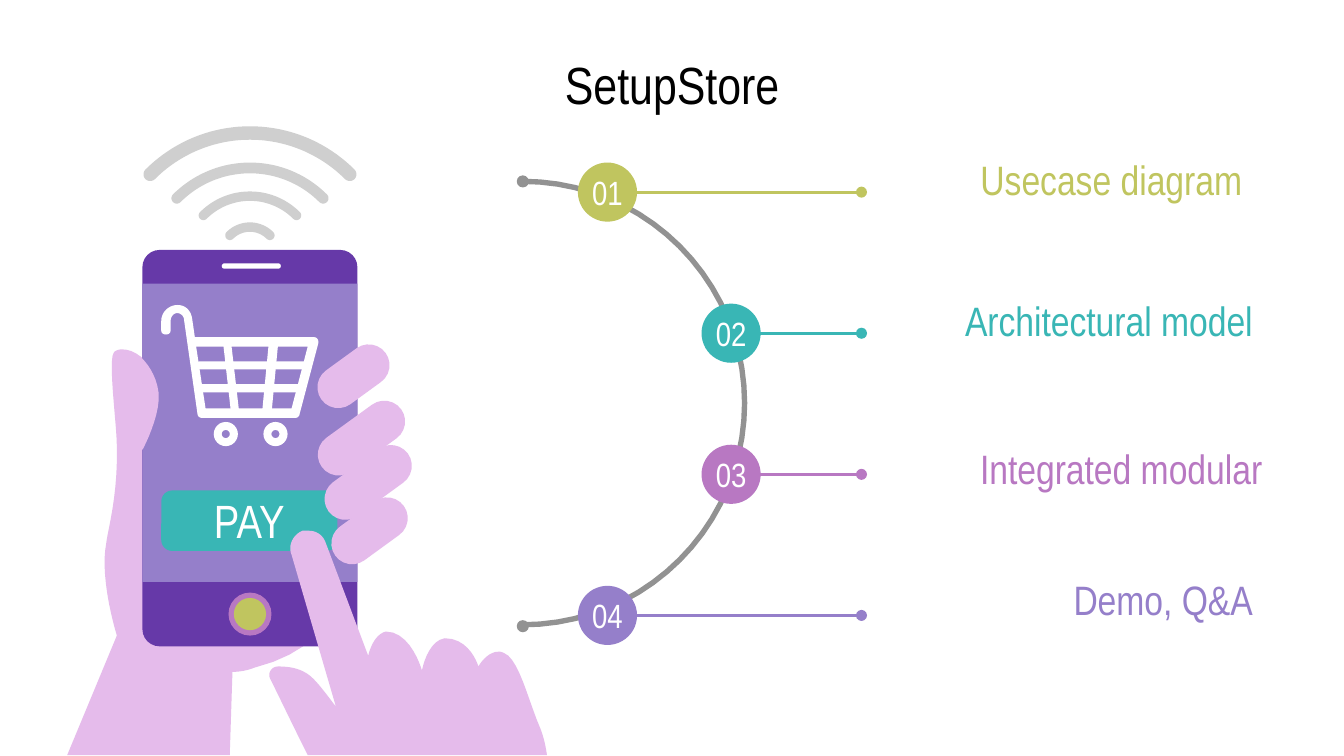
from math import cos, radians, sin

from lxml import etree
from pptx import Presentation
from pptx.dml.color import RGBColor
from pptx.enum.shapes import MSO_CONNECTOR, MSO_SHAPE
from pptx.enum.text import MSO_ANCHOR, MSO_AUTO_SIZE, PP_ALIGN
from pptx.oxml.ns import qn
from pptx.util import Cm, Pt

OVAL, DONUT = MSO_SHAPE.OVAL, MSO_SHAPE.DONUT
RECTANGLE, ROUNDED = MSO_SHAPE.RECTANGLE, MSO_SHAPE.ROUNDED_RECTANGLE
CENTER, RIGHT = PP_ALIGN.CENTER, PP_ALIGN.RIGHT
FONT = "Arial Narrow"
CM_PER_UNIT = 2.54

BLACK = RGBColor(0x00, 0x00, 0x00)
WHITE = RGBColor(0xFF, 0xFF, 0xFF)
OLIVE = RGBColor(0xC0, 0xC5, 0x5F)
TEAL = RGBColor(0x39, 0xB6, 0xB5)
ORCHID = RGBColor(0xB8, 0x78, 0xC2)
LAVENDER = RGBColor(0x95, 0x7F, 0xCA)
PURPLE = RGBColor(0x66, 0x39, 0xA8)
SKIN = RGBColor(0xE5, 0xBB, 0xEB)
GRAY = RGBColor(0x92, 0x92, 0x92)
LIGHT_GRAY = RGBColor(0xCF, 0xCF, 0xCF)

# label, colour, circle centre x, connector start x, label box
STEPS = [
    ("Usecase diagram", OLIVE, 4.52, 4.67, (6.76, 1.1, 2.58, 0.47)),
    ("Architectural model", TEAL, 5.44, 5.48, (6.84, 2.15, 2.58, 0.47)),
    ("Integrated modular", ORCHID, 5.44, 5.46, (6.18, 3.25, 3.31, 0.47)),
    ("Demo, Q&A", LAVENDER, 4.52, 4.67, (6.84, 4.22, 2.58, 0.47)),
]

# Outlines: a pair is a corner, six numbers are a Bezier curve.
HOLDING_HAND = [
    (0.91, 2.6), (0.88, 2.6, 0.86, 2.61, 0.85, 2.62),
    (0.8, 2.66, 0.87, 3.16, 0.87, 3.32), (0.88, 3.69, 0.8, 3.95, 0.79, 4.05),
    (0.76, 4.2, 0.79, 4.46, 0.87, 4.73), (0.5, 5.62), (1.71, 5.62), (1.73, 5),
    (1.78, 5, 1.84, 4.99, 1.89, 4.97), (2.41, 4.84, 2.5, 4.51, 2.5, 4.51),
    (2.5, 4.51, 1.38, 3.59, 1.26, 3.08), (1.17, 2.69, 1.01, 2.6, 0.91, 2.6)]
THUMB = [
    (1.04, 2.65), (1.01, 2.93), (1.06, 3.35),
    (1.06, 3.35, 1.2, 3.09, 1.18, 2.92), (1.16, 2.75, 1.04, 2.65, 1.04, 2.65)]
POINTING_HAND = [
    (2.3, 3.95), (2.28, 3.95, 2.27, 3.95, 2.25, 3.95),
    (2.18, 3.98, 2.14, 4.06, 2.17, 4.13), (2.5, 5.26),
    (2.44, 5.18, 2.38, 5.1, 2.33, 5.05), (2.26, 4.98, 2.17, 4.96, 2.07, 4.96),
    (2.02, 4.96, 1.99, 5.01, 2.01, 5.05), (2.07, 5.17, 2.18, 5.4, 2.29, 5.62),
    (4.07, 5.62), (4.06, 5.54, 4.04, 5.47, 4.02, 5.42),
    (3.93, 5.21, 3.86, 4.9, 3.75, 4.86), (3.73, 4.85, 3.72, 4.85, 3.71, 4.85),
    (3.62, 4.85, 3.56, 4.96, 3.56, 4.96), (3.56, 4.96, 3.5, 4.75, 3.31, 4.75),
    (3.18, 4.77, 3.14, 4.99, 3.14, 4.99), (3.14, 4.99, 3.06, 4.7, 2.87, 4.7),
    (2.8, 4.72, 2.76, 4.8, 2.74, 4.88), (2.42, 4.03),
    (2.4, 3.98, 2.35, 3.95, 2.3, 3.95)]
BASKET_OPENING = [(2.29, 2.58), (2.17, 3.04), (1.53, 3.04), (1.46, 2.58)]
CART = [
    (1.32, 2.27), (1.26, 2.27, 1.2, 2.32, 1.2, 2.39), (1.2, 2.46),
    (1.2, 2.5, 1.27, 2.5, 1.27, 2.46), (1.27, 2.39),
    (1.27, 2.36, 1.29, 2.33, 1.32, 2.33), (1.34, 2.33, 1.37, 2.35, 1.37, 2.38),
    (1.47, 3.08), (1.47, 3.1, 1.49, 3.11, 1.5, 3.11), (2.2, 3.11),
    (2.21, 3.11, 2.23, 3.1, 2.23, 3.08), (2.37, 2.55),
    (2.37, 2.53, 2.36, 2.51, 2.34, 2.51), (1.45, 2.51), (1.43, 2.37),
    (1.42, 2.31, 1.38, 2.27, 1.32, 2.27)]
BASKET_BARS = [
    [(1.66, 2.55), (1.66, 2.51, 1.72, 2.51, 1.72, 2.55), (1.78, 3.07),
     (1.78, 3.12, 1.72, 3.12, 1.72, 3.08)],
    [(2, 2.55), (2.01, 2.51, 2.07, 2.51, 2.07, 2.55), (2.02, 3.08),
     (2.01, 3.12, 1.95, 3.12, 1.95, 3.07)]]


def length(units):
    return Cm(units * CM_PER_UNIT)


def write_text(shape, text, size=22, color=BLACK, align=CENTER):
    frame = shape.text_frame
    frame.word_wrap = True
    frame.auto_size = MSO_AUTO_SIZE.NONE
    frame.vertical_anchor = MSO_ANCHOR.MIDDLE
    frame.margin_left = frame.margin_right = length(0.1)
    frame.margin_top = frame.margin_bottom = length(0.1)
    paragraph = frame.paragraphs[0]
    paragraph.alignment = align
    run = paragraph.add_run()
    run.text = text
    run.font.name, run.font.size = FONT, Pt(size)
    run.font.color.rgb = color


def add_label(slide, box, text, **text_format):
    write_text(slide.shapes.add_textbox(*map(length, box)), text, **text_format)


def paint(shape, color):
    shape.shadow.inherit = False
    shape.fill.solid()
    shape.fill.fore_color.rgb = color
    shape.line.fill.background()
    return shape


def add_figure(slide, kind, box, color, adjustment=None):
    shape = paint(slide.shapes.add_shape(kind, *map(length, box)), color)
    if adjustment is not None:
        shape.adjustments[0] = adjustment
    return shape


def add_disc(slide, x, y, diameter, color, kind=OVAL, adjustment=None):
    box = (x - diameter / 2, y - diameter / 2, diameter, diameter)
    return add_figure(slide, kind, box, color, adjustment)


def flatten(outline, steps=10):
    """Turn corners and Bezier curves into plain points."""
    points = [outline[0]]
    for part in outline[1:]:
        if len(part) == 2:
            points.append(part)
            continue
        controls = [points[-1], part[:2], part[2:4], part[4:]]
        for step in range(1, steps + 1):
            t = step / steps
            weights = ((1 - t) ** 3, 3 * t * (1 - t) ** 2, 3 * t * t * (1 - t), t ** 3)
            points.append(tuple(sum(w * c[axis] for w, c in zip(weights, controls))
                                for axis in (0, 1)))
    return points


def add_outline(slide, color, *outlines):
    contours = [[(length(x), length(y)) for x, y in flatten(outline)]
                for outline in outlines]
    builder = slide.shapes.build_freeform(*contours[0][0])
    for index, contour in enumerate(contours):
        if index:
            builder.move_to(*contour[0])
        builder.add_line_segments(contour[1:], close=True)
    return paint(builder.convert_to_shape(), color)


def arc_points(x, y, radius, start, end, steps=40):
    angles = [radians(start + (end - start) * i / steps) for i in range(steps + 1)]
    return [(x + radius * cos(a), y + radius * sin(a)) for a in angles]


def add_arc_band(slide, x, y, radius, thickness, start, end, color):
    """Draw an arc of even thickness with round ends."""
    half = thickness / 2
    first, *_, last = arc_points(x, y, radius, start, end)
    add_outline(slide, color,
                arc_points(x, y, radius + half, start, end)
                + arc_points(*last, half, end, end + 180, 10)
                + arc_points(x, y, radius - half, end, start)
                + arc_points(*first, half, start + 180, start + 360, 10))


def add_dotted_end_line(slide, start_x, end_x, y, color):
    connector = slide.shapes.add_connector(
        MSO_CONNECTOR.STRAIGHT, *map(length, (start_x, y, end_x, y)))
    connector.line.color.rgb = color
    connector.line.width = Pt(1.5)
    etree.SubElement(connector.line._get_or_add_ln(), qn("a:tailEnd"), type="oval")
    etree.SubElement(connector._element.spPr, qn("a:effectLst"))


def add_timeline(slide):
    add_arc_band(slide, 3.89, 3, 1.65, 0.04, -90, 90, GRAY)
    for y in (1.35, 4.66):
        add_disc(slide, 3.89, y, 0.09, GRAY)
    for index, (label, color, x, line_start, box) in enumerate(STEPS):
        y = 1.43 + 1.05 * index
        add_dotted_end_line(slide, line_start, 6.41, y, color)
        circle = add_disc(slide, x, y, 0.44, color)
        write_text(circle, f"{index + 1:02}", size=18, color=WHITE)
        circle.text_frame.word_wrap = False
        add_label(slide, box, label, color=color, align=RIGHT)


def add_cart(slide):
    add_outline(slide, WHITE, CART, BASKET_OPENING)
    for bar in BASKET_BARS:
        add_outline(slide, WHITE, bar)
    for box in ((1.45, 2.69, 0.84, 0.06), (1.47, 2.86, 0.8, 0.06)):
        add_figure(slide, ROUNDED, box, WHITE, 0.5)
    for x in (1.68, 2.05):
        add_disc(slide, x, 3.23, 0.18, WHITE, DONUT, 0.33)


def add_phone(slide):
    add_figure(slide, ROUNDED, (1.06, 1.86, 1.6, 2.95), PURPLE, 0.08)
    add_figure(slide, RECTANGLE, (1.06, 2.11, 1.6, 2.22), LAVENDER)
    add_cart(slide)
    add_figure(slide, ROUNDED, (1.2, 3.65, 1.31, 0.45), TEAL, 0.18)
    add_figure(slide, ROUNDED, (1.65, 1.96, 0.44, 0.04), WHITE, 0.5)
    add_disc(slide, 1.86, 4.57, 0.32, ORCHID)
    add_disc(slide, 1.86, 4.57, 0.24, OLIVE)


def add_fingers(slide):
    thickness = 0.31
    for x, y, size in ((2.69, 3.26, 0.73), (2.74, 3.59, 0.73),
                       (2.75, 3.95, 0.63), (2.63, 2.8, 0.59)):
        box = (x - size / 2, y - thickness / 2, size, thickness)
        add_figure(slide, ROUNDED, box, SKIN, 0.5).rotation = -36
    add_outline(slide, SKIN, THUMB)


def add_signal(slide):
    for top, radius, thickness in ((1.69, 0.21, 0.07), (1.25, 0.77, 0.08),
                                   (1.46, 0.49, 0.07), (0.99, 1.05, 0.1)):
        add_arc_band(slide, 1.86, top + radius, radius, thickness, -135, -45, LIGHT_GRAY)


def main():
    presentation = Presentation()
    presentation.slide_width, presentation.slide_height = Cm(25.4), Cm(14.29)
    slide = presentation.slides.add_slide(presentation.slide_layouts[5])
    title = slide.shapes.title
    title.left, title.top, title.width, title.height = map(length, (2.75, 0.45, 4.5, 0.35))
    write_text(title, "SetupStore", size=28)
    add_timeline(slide)
    add_outline(slide, SKIN, HOLDING_HAND)
    add_phone(slide)
    add_fingers(slide)
    add_signal(slide)
    add_outline(slide, SKIN, POINTING_HAND)
    add_label(slide, (1.21, 3.67, 1.29, 0.39), "PAY", size=25, color=WHITE)
    presentation.save("out.pptx")


if __name__ == "__main__":
    main()
